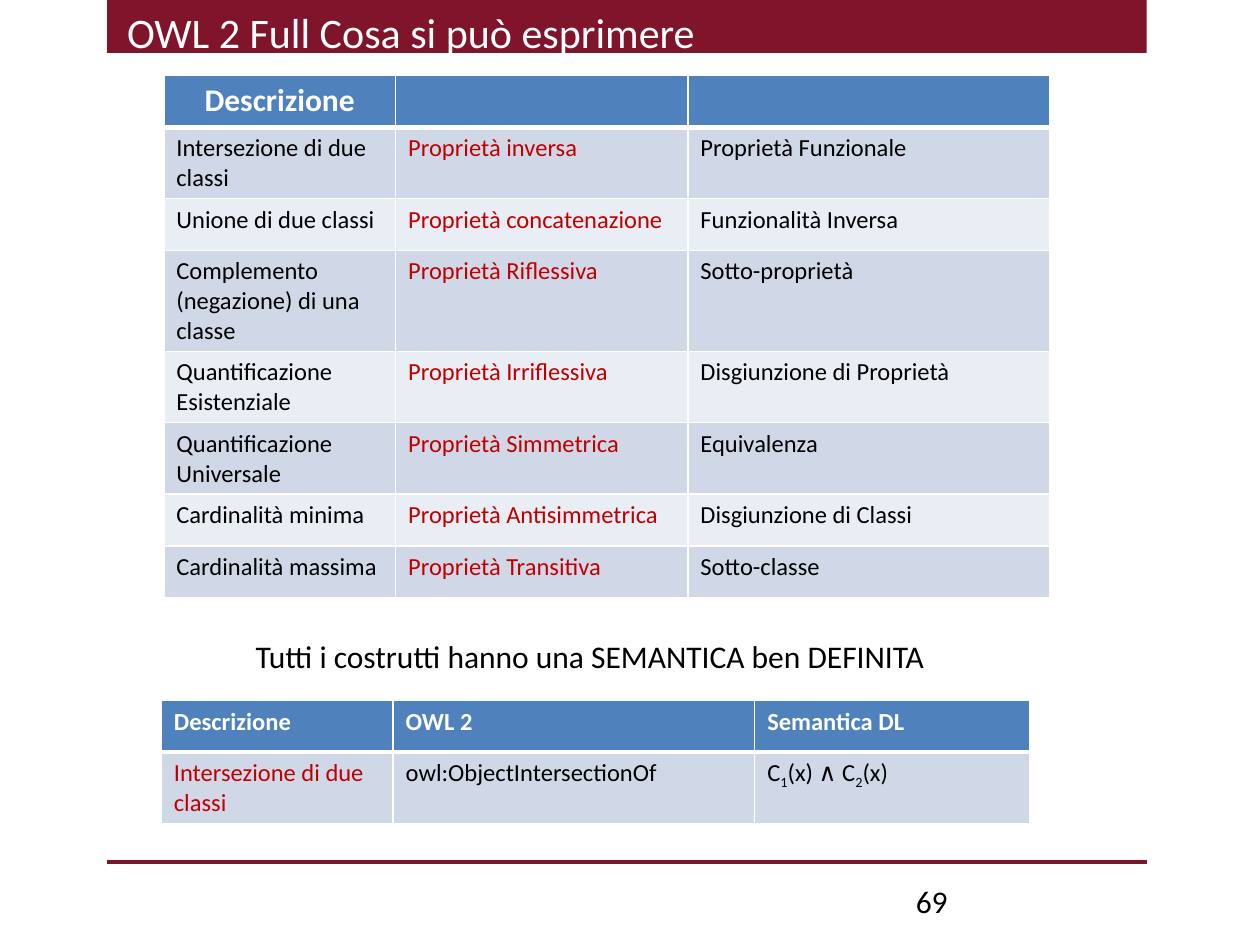
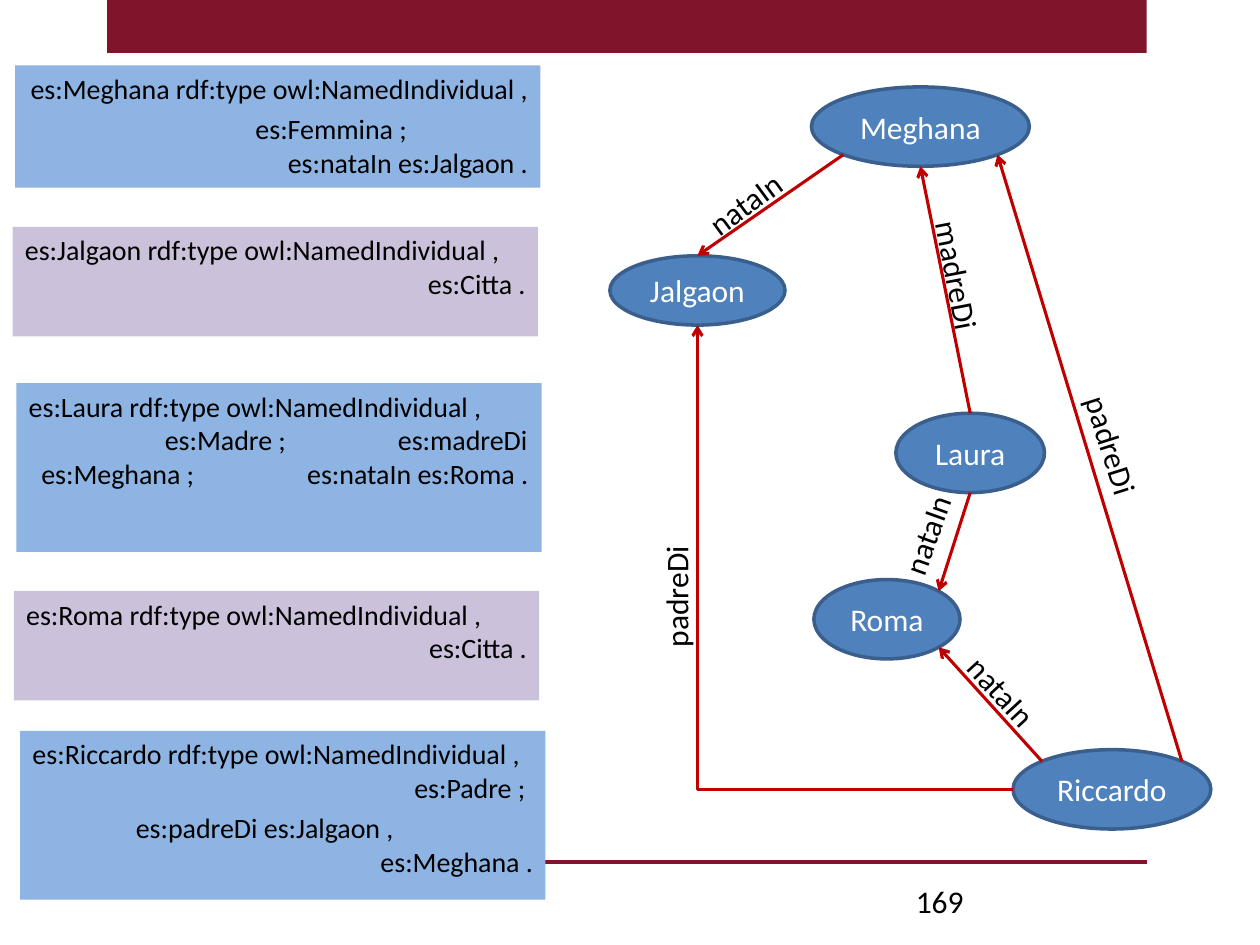
import math
import pptx
import pptx.dml.color
import pptx.enum.shapes
import pptx.enum.text
import pptx.oxml.ns
import pptx.util
from lxml import etree

IN, PT = pptx.util.Inches, pptx.util.Pt
SHAPE = pptx.enum.shapes.MSO_SHAPE
LINK = pptx.enum.shapes.MSO_CONNECTOR
ALIGN = pptx.enum.text.PP_ALIGN
qn = pptx.oxml.ns.qn

WINE, RED, BLACK, WHITE = "7F142A", "C00000", "000000", "FFFFFF"
BLUE, EDGE, SKY, LILAC = "4F81BD", "3A5F8C", "8EB4E3", "CCC1DA"
BANDS = ("D0D8E8", "E9EDF4")
LEFT, RIGHT = 0.85, 9.1

TITLE = "OWL 2 Full Cosa si può esprimere"
REMARK = "Tutti i costrutti hanno una SEMANTICA ben DEFINITA"
TERMS = [
    ("Descrizione", "", ""),
    ("Intersezione di due classi", "Proprietà inversa", "Proprietà Funzionale"),
    ("Unione di due classi", "Proprietà concatenazione", "Funzionalità Inversa"),
    ("Complemento (negazione) di una classe", "Proprietà Riflessiva", "Sotto-proprietà"),
    ("Quantificazione Esistenziale", "Proprietà Irriflessiva", "Disgiunzione di Proprietà"),
    ("Quantificazione Universale", "Proprietà Simmetrica", "Equivalenza"),
    ("Cardinalità minima", "Proprietà Antisimmetrica", "Disgiunzione di Classi"),
    ("Cardinalità massima", "Proprietà Transitiva", "Sotto-classe"),
]
SUB = {"base": -25000}
LOGIC = [("C", {}), ("1", SUB), ("(x) ", {}), ("∧ ", {"face": "Cambria"}),
         ("C", {}), ("2", SUB), ("(x)", {})]
SEMANTICS = [
    ("Descrizione", "OWL 2", "Semantica DL"),
    ("Intersezione di due classi", "owl:ObjectIntersectionOf", LOGIC),
]

# Each line: tab stops (None = right-aligned), text, starts a new statement
CARDS = [
    (0.12, 0.52, 0.97, SKY, [
        (None, "es:Meghana rdf:type owl:NamedIndividual ,", False),
        ((1.81,), "\tes:Femmina ;", True),
        (None, "es:nataIn es:Jalgaon .", False)]),
    (0.1, 1.8, 0.87, LILAC, [
        ((), "es:Jalgaon rdf:type owl:NamedIndividual ,", False),
        (None, "es:Citta .", False)]),
    (0.13, 3.04, 1.34, SKY, [
        ((), "es:Laura rdf:type owl:NamedIndividual ,", False),
        ((1.08, 2.93), "\tes:Madre ;\tes:madreDi", False),
        ((0.1, 2.21), "\tes:Meghana ;\tes:nataIn es:Roma .", False)]),
    (0.11, 4.69, 0.87, LILAC, [
        ((), "es:Roma rdf:type owl:NamedIndividual ,", False),
        (None, "es:Citta .", False)]),
    (0.16, 5.8, 1.34, SKY, [
        ((), "es:Riccardo rdf:type owl:NamedIndividual ,", False),
        ((3.03,), "\tes:Padre ;", False),
        ((0.82,), "\tes:padreDi es:Jalgaon ,", True),
        (None, "es:Meghana .", False)]),
]
NODES = {
    "Meghana": (6.44, 0.69, 1.73, 0.63),
    "Jalgaon": (4.84, 2.03, 1.39, 0.55),
    "Laura": (7.11, 3.28, 1.18, 0.63),
    "Roma": (6.46, 4.6, 1.16, 0.63),
    "Riccardo": (8.04, 5.95, 1.57, 0.63),
}
# Connection sites run anticlockwise from the top of an ellipse, 45° apart
TOP, TOP_LEFT, SIDE, LOW_LEFT, LOW, LOW_RIGHT, _, TOP_RIGHT = range(8)
# from, site, to, site, label, label box (left, top, width), turn
EDGES = [
    ("Meghana", LOW_LEFT, "Jalgaon", TOP, "nataIn", (5.49, 1.41, 0.85), 323.5),
    ("Laura", TOP, "Meghana", LOW, "madreDi", (7.06, 1.99, 1.08), 79.1),
    ("Laura", LOW, "Roma", TOP_RIGHT, "nataIn", (6.93, 4.04, 0.85), 289.7),
    ("Riccardo", TOP_LEFT, "Roma", LOW_RIGHT, "nataIn", (7.53, 5.29, 0.85), 47.3),
    ("Riccardo", TOP_RIGHT, "Meghana", LOW_RIGHT, "padreDi", (8.32, 3.34, 1.01), 72.4),
    ("Riccardo", SIDE, "Jalgaon", LOW, "padreDi", (4.86, 4.53, 1.01), 270),
]


def rgb(code):
    return pptx.dml.color.RGBColor.from_string(code)


def put(para, text, size, color=BLACK, bold=False, face="Calibri", base=None):
    """Add one run."""
    run = para.add_run()
    run.text = text
    font = run.font
    font.name, font.size, font.bold = face, PT(size), bold
    font.color.rgb = rgb(color)
    if base:
        font._element.set("baseline", str(base))


def label(slide, text, box, size=18, color=BLACK, turn=0, wrap=False):
    item = slide.shapes.add_textbox(*map(IN, box))
    item.rotation = turn
    item.text_frame.word_wrap = wrap
    put(item.text_frame.paragraphs[0], text, size, color)


def shape(slide, kind, box, fill, edge=None):
    item = slide.shapes.add_shape(kind, *map(IN, box))
    item.shadow.inherit = False
    item.fill.solid()
    item.fill.fore_color.rgb = rgb(fill)
    if edge:
        item.line.color.rgb = rgb(edge)
        item.line.width = PT(2)
    else:
        item.line.fill.background()
    return item


def line(slide, start, end, color, width, kind=LINK.STRAIGHT):
    item = slide.shapes.add_connector(kind, *map(IN, (*start, *end)))
    item.line.color.rgb = rgb(color)
    item.line.width = PT(width)
    etree.SubElement(item._element.spPr, qn("a:effectLst"))
    return item


def page(deck, number):
    """Add a slide with the shared band, rule and number."""
    slide = deck.slides.add_slide(deck.slide_layouts[6])
    shape(slide, SHAPE.RECTANGLE, (LEFT, 0, RIGHT - LEFT, 0.42), WINE)
    line(slide, (LEFT, 6.84), (RIGHT, 6.84), WINE, 2)
    label(slide, str(number), (7.17, 6.95, 2.33, 0.4), wrap=True)
    return slide


def border(cell, widths):
    props = cell._tc.get_or_add_tcPr()
    for side, width in zip("LRTB", widths):
        edge = etree.SubElement(props, qn("a:ln" + side), w=str(PT(width)))
        fill = etree.SubElement(edge, qn("a:solidFill"))
        etree.SubElement(fill, qn("a:srgbClr"), val=WHITE)


def table(slide, left, top, cols, rows, red, head):
    """Draw a banded table; red is the accented column, head the header size."""
    high = 0.41
    grid = slide.shapes.add_table(len(rows), len(cols), IN(left), IN(top),
                                  IN(sum(cols)), IN(high * len(rows))).table
    for col, width in zip(grid.columns, cols):
        col.width = IN(width)
    for r, row in enumerate(rows):
        grid.rows[r].height = IN(high)
        for c, parts in enumerate(row):
            cell = grid.cell(r, c)
            border(cell, (1, 1, 3 if r == 1 else 1, 3 if r == 0 else 1))
            cell.fill.solid()
            cell.fill.fore_color.rgb = rgb(BANDS[(r - 1) % 2] if r else BLUE)
            para = cell.text_frame.paragraphs[0]
            if r == 0 and head > 14:
                para.alignment = ALIGN.CENTER
            color = WHITE if r == 0 else RED if c == red else BLACK
            if isinstance(parts, str):
                parts = [(parts, {})] if parts else []
            for text, style in parts:
                put(para, text, 14 if r else head, color, r == 0, **style)


def card(slide, left, top, high, fill, lines):
    frame = shape(slide, SHAPE.RECTANGLE, (left, top, 4.17, high), fill).text_frame
    frame.word_wrap = True
    frame.vertical_anchor = pptx.enum.text.MSO_ANCHOR.TOP
    for n, (stops, text, fresh) in enumerate(lines):
        para = frame.add_paragraph() if n else frame.paragraphs[0]
        para.alignment = ALIGN.RIGHT if stops is None else ALIGN.LEFT
        if stops:
            tabs = etree.SubElement(para._p.get_or_add_pPr(), qn("a:tabLst"))
            for stop in stops:
                etree.SubElement(tabs, qn("a:tab"), pos=str(IN(stop)), algn="l")
        if fresh:
            para.space_before = PT(3.8)
        put(para, text, 16)


def node(slide, name):
    item = shape(slide, SHAPE.OVAL, NODES[name], BLUE, EDGE)
    frame = item.text_frame
    frame.margin_left = frame.margin_right = 0
    frame.vertical_anchor = pptx.enum.text.MSO_ANCHOR.MIDDLE
    frame.paragraphs[0].alignment = ALIGN.CENTER
    put(frame.paragraphs[0], name, 18, WHITE)
    return item


def spot(name, site):
    """Point of a connection site on a node's outline."""
    x, y, w, h = NODES[name]
    turn = math.radians(90 + 45 * site)
    return x + w / 2 * (1 + math.cos(turn)), y + h / 2 * (1 - math.sin(turn))


def arrow(slide, ovals, tail, out, head, into):
    bent = out == SIDE
    item = line(slide, spot(tail, out), spot(head, into), RED, 1.75,
                LINK.ELBOW if bent else LINK.STRAIGHT)
    elem = item._element
    etree.SubElement(item.line._get_or_add_ln(), qn("a:tailEnd"), type="arrow")
    glue = elem.nvCxnSpPr.cNvCxnSpPr
    for tag, name, site in (("a:stCxn", tail, out), ("a:endCxn", head, into)):
        etree.SubElement(glue, qn(tag), id=str(ovals[name].shape_id), idx=str(site))
    if bent:
        elem.spPr.find(qn("a:prstGeom")).set("prst", "bentConnector2")
        frame = elem.spPr.find(qn("a:xfrm"))
        frame.flipH = frame.flipV = False
        frame.set("rot", str(180 * 60000))


def main():
    deck = pptx.Presentation()
    deck.slide_width, deck.slide_height = IN(10), IN(7.5)

    slide = page(deck, 69)
    label(slide, TITLE, (0.91, 0, 8.11, 0.5), 24, WHITE, wrap=True)
    table(slide, 1.3, 0.6, (1.84, 2.32, 2.87), TERMS, red=1, head=18)
    label(slide, REMARK, (1.93, 5.01, 5.59, 0.4))
    table(slide, 1.28, 5.56, (1.84, 2.87, 2.18), SEMANTICS, red=0, head=14)

    slide = page(deck, 169)
    for item in CARDS:
        card(slide, *item)
    ovals = {name: node(slide, name) for name in NODES}
    for *ends, text, box, turn in EDGES:
        arrow(slide, ovals, *ends)
        label(slide, text, (*box, 0.4), turn=turn)

    deck.save("out.pptx")


if __name__ == "__main__":
    main()
